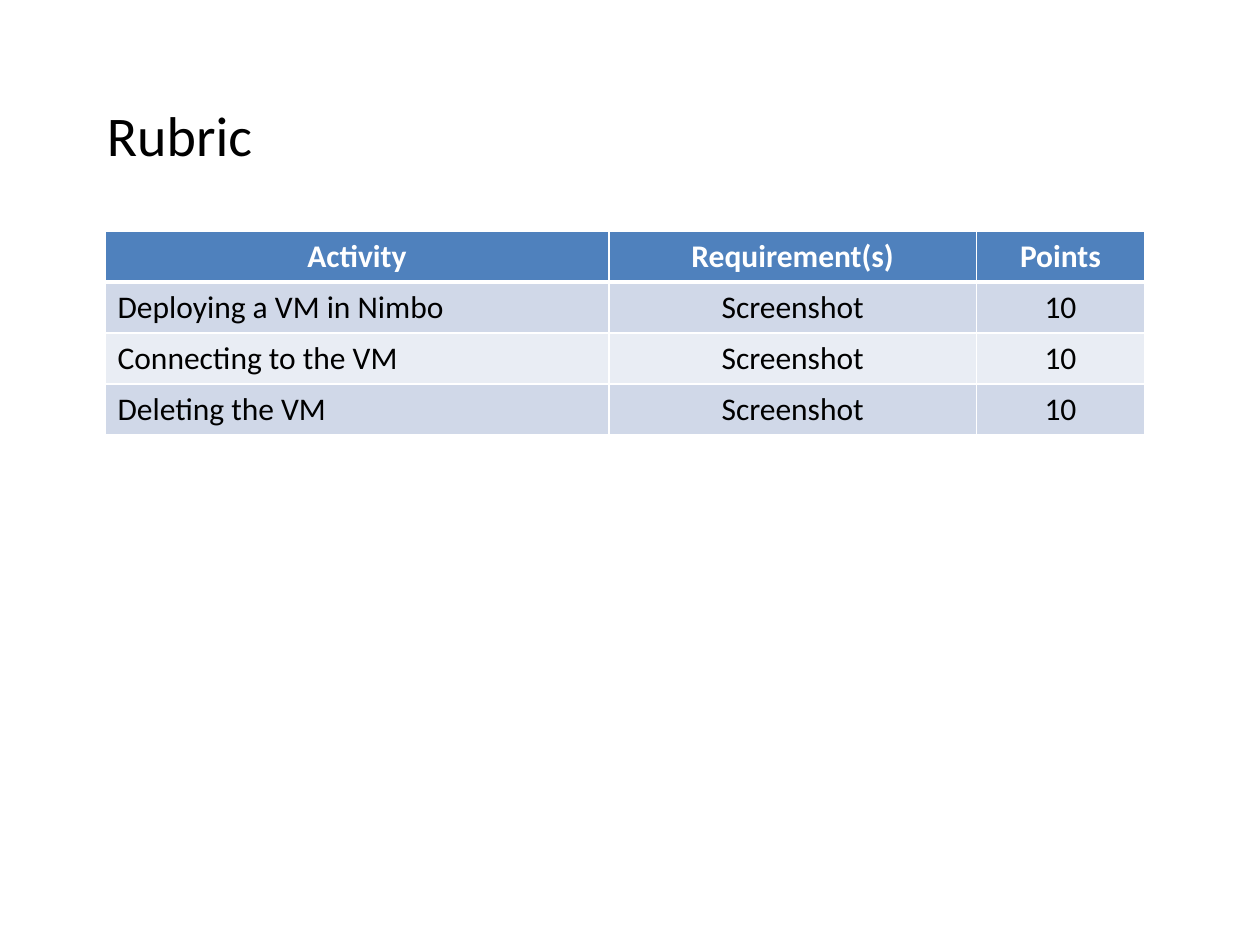
from pptx import Presentation
from pptx.dml.color import RGBColor
from pptx.enum.text import PP_ALIGN
from pptx.oxml.ns import qn
from pptx.util import Inches, Pt
from lxml.etree import SubElement

COLORS = {"ink": "000000", "white": "FFFFFF", "header": "4F81BD",
          "odd_row": "D0D8E8", "even_row": "E9EDF4"}

UNIT = Inches(1) / 12  # the slide is a grid of 120 columns by 90 rows
TITLE_BOX = (9, 9, 108, 59.4)
RUBRIC_BOX = (10, 22, 99, 19.44)
COLUMN_SPANS = (48, 35, 16)

TITLE_FONT = {"name": "Calibri", "size": Pt(32), "bold": False}
BODY_FONT = {"name": "Calibri", "size": Pt(18), "bold": False}
HEADER_FONT = {**BODY_FONT, "bold": True}

HEADINGS = ("Activity", "Requirement(s)", "Points")
ACTIVITIES = ("Deploying a VM in Nimbo", "Connecting to the VM", "Deleting the VM")
RUBRIC = [HEADINGS] + [(activity, "Screenshot", "10") for activity in ACTIVITIES]


def grid(*spans):
    return [round(span * UNIT) for span in spans]


def write(paragraph, wording, font_format, color, align=PP_ALIGN.LEFT):
    paragraph.alignment = align
    run = paragraph.add_run()
    run.text = wording
    for attribute, value in font_format.items():
        setattr(run.font, attribute, value)
    run.font.color.rgb = RGBColor.from_string(COLORS[color])


def draw_borders(cell, widths):
    properties = cell._tc.get_or_add_tcPr()
    # Borders must come before the fill in the cell properties
    for position, (side, width) in enumerate(widths.items()):
        border = SubElement(properties, qn(f"a:ln{side}"), w=str(Pt(width)))
        fill = SubElement(border, qn("a:solidFill"))
        SubElement(fill, qn("a:srgbClr"), val=COLORS["white"])
        properties.insert(position, border)


def add_title(slide, box):
    frame = slide.shapes.add_textbox(*grid(*box)).text_frame
    frame.word_wrap = True
    write(frame.paragraphs[0], "Rubric", TITLE_FONT, "ink")


def add_rubric(slide, box):
    table = slide.shapes.add_table(len(RUBRIC), len(HEADINGS), *grid(*box)).table
    for column, width in zip(table.columns, grid(*COLUMN_SPANS)):
        column.width = width

    for row_index, entries in enumerate(RUBRIC):
        is_header = row_index == 0
        row_color = "header" if is_header else ("even_row", "odd_row")[row_index % 2]
        font_format, ink = (HEADER_FONT, "white") if is_header else (BODY_FONT, "ink")
        # A heavier rule separates the header from the activities
        widths = {"L": 1, "R": 1, "T": 3 if row_index == 1 else 1,
                  "B": 3 if is_header else 1}
        for column_index, wording in enumerate(entries):
            cell = table.cell(row_index, column_index)
            cell.fill.solid()
            cell.fill.fore_color.rgb = RGBColor.from_string(COLORS[row_color])
            draw_borders(cell, widths)
            centred = is_header or column_index > 0
            write(cell.text_frame.paragraphs[0], wording, font_format, ink,
                  PP_ALIGN.CENTER if centred else PP_ALIGN.LEFT)


def main():
    deck = Presentation()
    deck.slide_width, deck.slide_height = grid(120, 90)
    slide = deck.slides.add_slide(deck.slide_layouts[6])
    add_title(slide, TITLE_BOX)
    add_rubric(slide, RUBRIC_BOX)
    deck.save("out.pptx")


if __name__ == "__main__":
    main()
